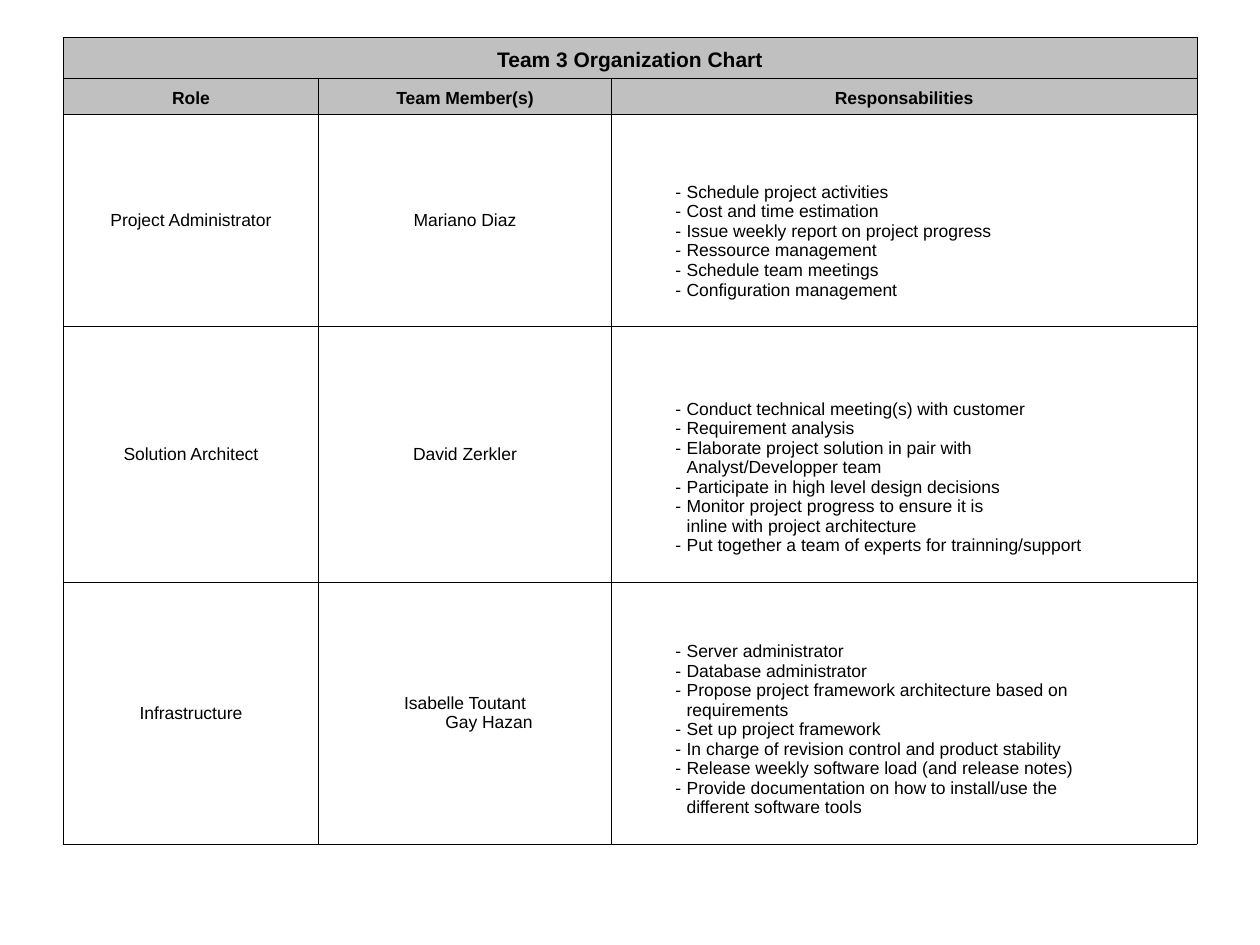
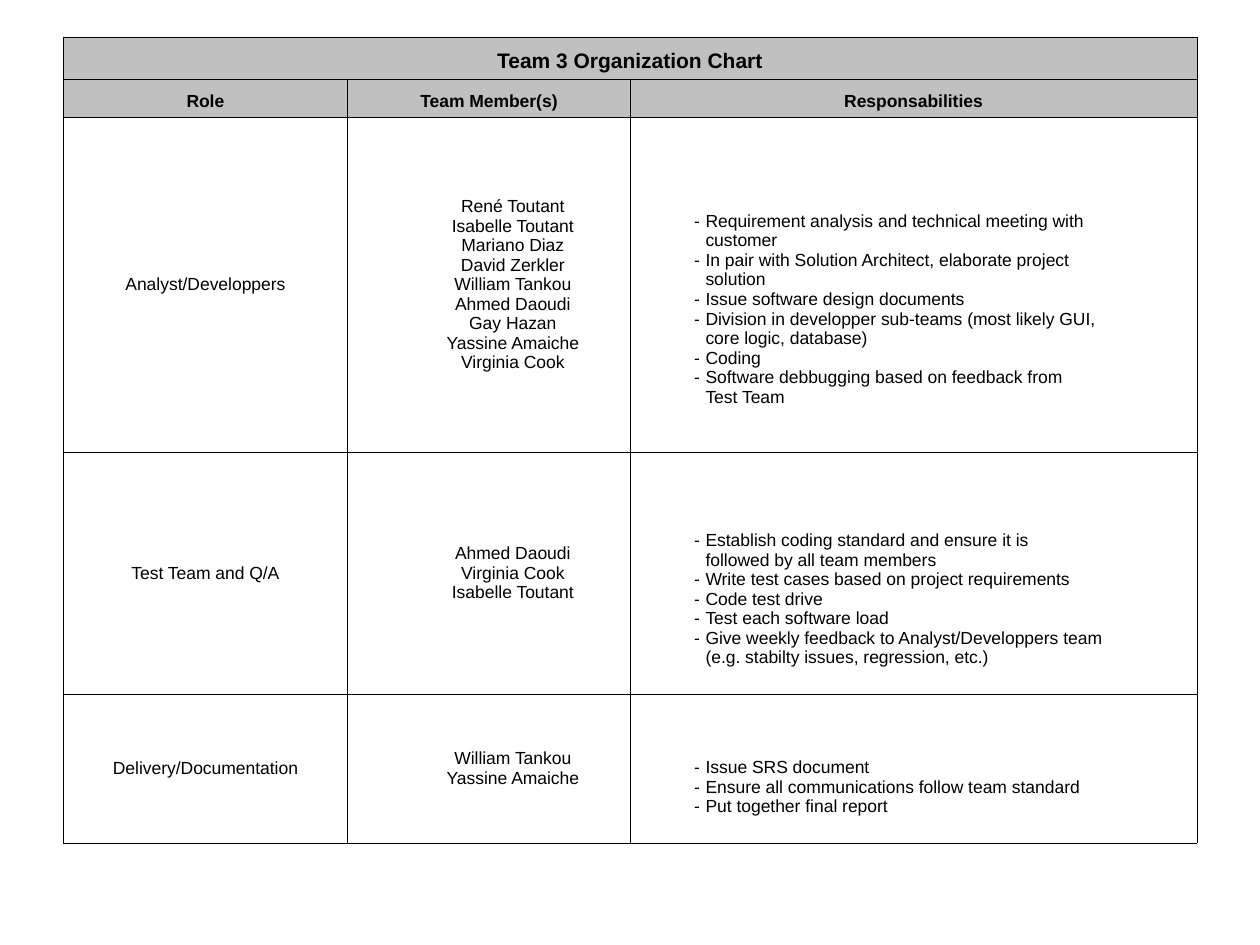
import pptx
import pptx.dml.color
import pptx.enum.text
import pptx.oxml.ns
import pptx.util
from lxml import etree
from pptx.dml.color import RGBColor
from pptx.enum.text import MSO_ANCHOR, PP_ALIGN
from pptx.util import Inches

BLACK = RGBColor(0, 0, 0)
HEADER_GREY = RGBColor(0xC0, 0xC0, 0xC0)
FONT = "Arial"
TITLE = "Team 3 Organization Chart"
HEADINGS = ["Role", "Team Member(s)", "Responsabilities"]
BORDER = pptx.util.Pt(0.45)
MEMBER_INDENT = 0.38
DUTY_INDENT, DUTY_HANG = 0.5, 0.09
DUTY_BOTTOM = 0.21

CORE_TEAM = [
    ("Project Administrator", ["Mariano Diaz"], [
        "Schedule project activities",
        "Cost and time estimation",
        "Issue weekly report on project progress",
        "Ressource management",
        "Schedule team meetings",
        "Configuration management"]),
    ("Solution Architect", ["David Zerkler"], [
        "Conduct technical meeting(s) with customer",
        "Requirement analysis",
        "Elaborate project solution in pair with\nAnalyst/Developper team",
        "Participate in high level design decisions",
        "Monitor project progress to ensure it is\ninline with project architecture",
        "Put together a team of experts for trainning/support"]),
    ("Infrastructure", ["Isabelle Toutant", "Gay Hazan"], [
        "Server administrator",
        "Database administrator",
        "Propose project framework architecture based on\nrequirements",
        "Set up project framework",
        "In charge of revision control and product stability",
        "Release weekly software load (and release notes)",
        "Provide documentation on how to install/use the\ndifferent software tools"]),
]

DELIVERY_TEAM = [
    ("Analyst/Developpers",
     ["René Toutant", "Isabelle Toutant", "Mariano Diaz", "David Zerkler", "William Tankou",
      "Ahmed Daoudi", "Gay Hazan", "Yassine Amaiche", "Virginia Cook"], [
        "Requirement analysis and technical meeting with\ncustomer",
        "In pair with Solution Architect, elaborate project\nsolution",
        "Issue software design documents",
        "Division in developper sub-teams (most likely GUI,\ncore logic, database)",
        "Coding",
        "Software debbugging based on feedback from\nTest Team"]),
    ("Test Team and Q/A", ["Ahmed Daoudi", "Virginia Cook", "Isabelle Toutant"], [
        "Establish coding standard and ensure it is\nfollowed by all team members",
        "Write test cases based on project requirements",
        "Code test drive",
        "Test each software load",
        "Give weekly feedback to Analyst/Developpers team\n(e.g. stabilty issues, regression, etc.)"]),
    ("Delivery/Documentation", ["William Tankou", "Yassine Amaiche"], [
        "Issue SRS document",
        "Ensure all communications follow team standard",
        "Put together final report"]),
]


def add_child(parent, tag, **attributes):
    """Append a DrawingML element."""
    return etree.SubElement(parent, pptx.oxml.ns.qn(tag), attributes)


def style_cell(cell, anchor, fill=None):
    """Set a cell's borders, fill, anchor and margins."""
    properties = cell._tc.get_or_add_tcPr()
    for side in ("a:lnL", "a:lnR", "a:lnT", "a:lnB"):
        line = add_child(properties, side, w=str(int(BORDER)))
        add_child(add_child(line, "a:solidFill"), "a:srgbClr", val=str(BLACK))
    if fill is None:
        cell.fill.background()
    else:
        cell.fill.solid()
        cell.fill.fore_color.rgb = fill
    cell.vertical_anchor = anchor
    cell.margin_left = cell.margin_right = Inches(0.1)
    cell.margin_top = cell.margin_bottom = Inches(0.05)


def write_paragraph(paragraph, text, size=10, bold=False, align=PP_ALIGN.CENTER):
    """Write text run by run, with a line break at each newline."""
    paragraph.alignment = align
    for number, line in enumerate(text.split("\n")):
        if number:
            paragraph.add_line_break()
        run = paragraph.add_run()
        run.text = line
        run.font.name = FONT
        run.font.size = pptx.util.Pt(size)
        run.font.bold = bold
        run.font.color.rgb = BLACK


def new_paragraphs(cell, texts):
    """Yield each text with its paragraph in the cell."""
    for number, text in enumerate(texts):
        frame = cell.text_frame
        yield (frame.add_paragraph() if number else frame.paragraphs[0]), text


def fill_header(cell, text, size=10):
    """Write a bold grey heading cell."""
    style_cell(cell, MSO_ANCHOR.BOTTOM, HEADER_GREY)
    write_paragraph(cell.text_frame.paragraphs[0], text, size, bold=True)


def fill_names(cell, names, indented_from):
    """Write centred names, indented from the given position on."""
    style_cell(cell, MSO_ANCHOR.MIDDLE)
    for number, (paragraph, name) in enumerate(new_paragraphs(cell, names)):
        if number >= indented_from:
            paragraph._p.get_or_add_pPr().set("marL", str(Inches(MEMBER_INDENT)))
        write_paragraph(paragraph, name)


def fill_duties(cell, duties, bottom):
    """Write a dashed list of responsibilities."""
    style_cell(cell, MSO_ANCHOR.BOTTOM)
    cell.margin_bottom = Inches(bottom)
    for paragraph, duty in new_paragraphs(cell, duties):
        properties = paragraph._p.get_or_add_pPr()
        properties.set("marL", str(Inches(DUTY_INDENT)))
        properties.set("indent", str(-Inches(DUTY_HANG)))
        add_child(properties, "a:buFont", typeface=FONT)
        add_child(properties, "a:buChar", char="-")
        write_paragraph(paragraph, duty, align=PP_ALIGN.LEFT)


def add_team_slide(deck, team, widths, heights, indented_from, first_bottom=DUTY_BOTTOM):
    """Add a slide with one organization table."""
    slide = deck.slides.add_slide(deck.slide_layouts[6])
    chart = slide.shapes.add_table(len(heights), len(widths), Inches(0.5), Inches(0.3),
                                   Inches(sum(widths)), Inches(sum(heights))).table
    chart.first_row = chart.horz_banding = False
    for column, width in zip(chart.columns, widths):
        column.width = Inches(width)
    for row, height in zip(chart.rows, heights):
        row.height = Inches(height)

    chart.cell(0, 0).merge(chart.cell(0, 2))
    fill_header(chart.cell(0, 0), TITLE, 12)
    for column in (1, 2):
        style_cell(chart.cell(0, column), MSO_ANCHOR.BOTTOM, HEADER_GREY)
    for column, heading in enumerate(HEADINGS):
        fill_header(chart.cell(1, column), heading)
    for row, (role, members, duties) in enumerate(team, start=2):
        fill_names(chart.cell(row, 0), [role], indented_from=1)
        fill_names(chart.cell(row, 1), members, indented_from)
        fill_duties(chart.cell(row, 2), duties, first_bottom if row == 2 else DUTY_BOTTOM)


def main():
    """Build the two team slides."""
    deck = pptx.Presentation()
    deck.slide_width, deck.slide_height = Inches(10), Inches(7.5)
    add_team_slide(deck, CORE_TEAM, [2.03, 2.32, 4.65], [0.32, 0.29, 1.68, 2.03, 2.08],
                   indented_from=1)
    add_team_slide(deck, DELIVERY_TEAM, [2.26, 2.24, 4.5], [0.33, 0.3, 2.66, 1.92, 1.18],
                   indented_from=0, first_bottom=0.36)
    deck.save("out.pptx")


if __name__ == "__main__":
    main()
